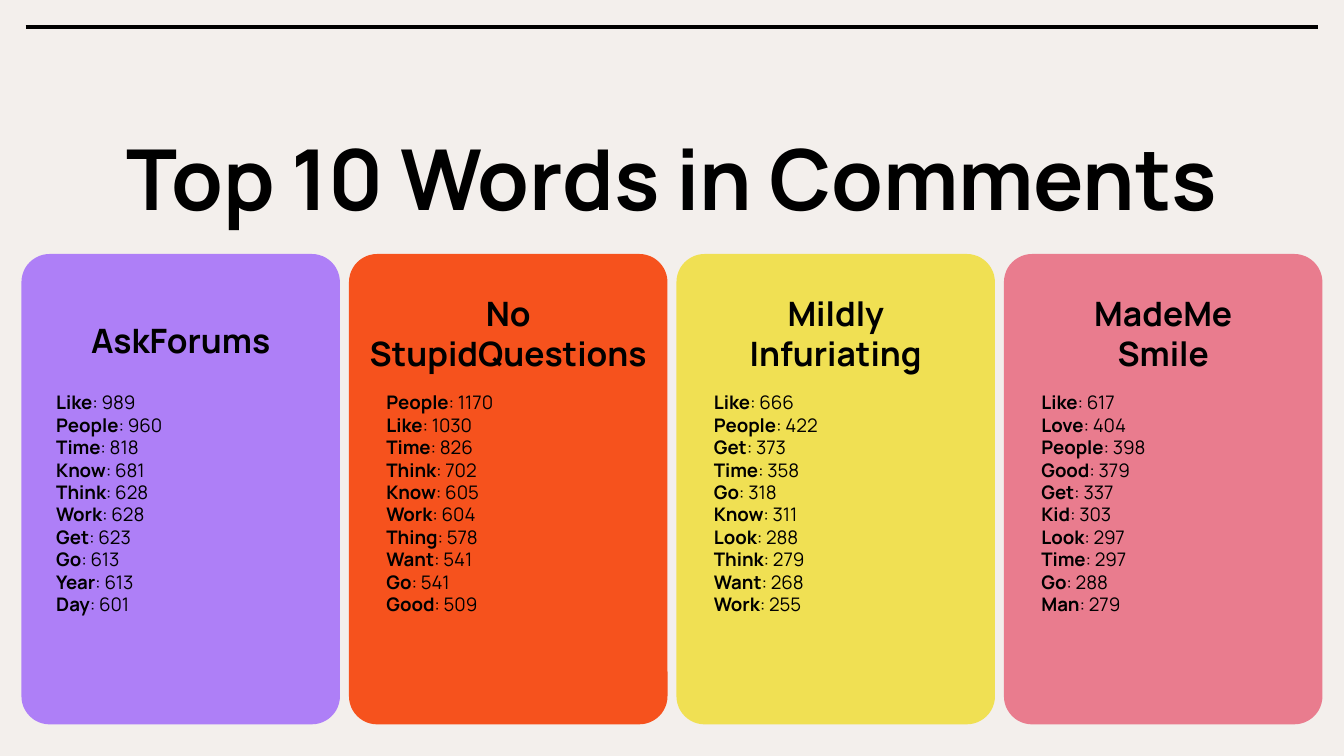
from pptx import Presentation
from pptx.dml.color import RGBColor
from pptx.enum.shapes import MSO_CONNECTOR, MSO_SHAPE
from pptx.enum.text import MSO_ANCHOR, MSO_AUTO_SIZE, PP_ALIGN
from pptx.oxml.ns import qn
from pptx.util import Inches, Pt
from lxml.etree import SubElement

TITLE = "Top 10 Words in Comments"
# fill, list indent, heading lines, word counts
CARDS = [
    ("purple", 0.16, ["AskForums"],
     [("Like", 989), ("People", 960), ("Time", 818), ("Know", 681), ("Think", 628),
      ("Work", 628), ("Get", 623), ("Go", 613), ("Year", 613), ("Day", 601)]),
    ("orange", 0.18, ["No", "StupidQuestions"],
     [("People", 1170), ("Like", 1030), ("Time", 826), ("Think", 702), ("Know", 605),
      ("Work", 604), ("Thing", 578), ("Want", 541), ("Go", 541), ("Good", 509)]),
    ("yellow", 0.18, ["Mildly", "Infuriating"],
     [("Like", 666), ("People", 422), ("Get", 373), ("Time", 358), ("Go", 318),
      ("Know", 311), ("Look", 288), ("Think", 279), ("Want", 268), ("Work", 255)]),
    ("pink", 0.18, ["MadeMe", "Smile"],
     [("Like", 617), ("Love", 404), ("People", 398), ("Good", 379), ("Get", 337),
      ("Kid", 303), ("Look", 297), ("Time", 297), ("Go", 288), ("Man", 279)]),
]
COLORS = {"background": "F3EFEC", "ink": "000000", "purple": "AE7FF7",
          "orange": "F6521D", "yellow": "F0E053", "pink": "E97C8E"}
FONT = "Manrope"

SLIDE_WIDTH = 10
SLIDE_HEIGHT = SLIDE_WIDTH * 9 / 16
MARGIN = 0.16
CARD_TOP, CARD_WIDTH, CARD_HEIGHT = 1.89, 2.37, 3.5
CARD_PITCH = (SLIDE_WIDTH - 2 * MARGIN - CARD_WIDTH) / (len(CARDS) - 1)
CORNER_RADIUS = 0.21
HEADING_PLACES = {1: (2.28, 1.74, 0.29), 2: (2.08, 2.89, 0.73)}  # lines: top, width, height
LIST_TOP, LIST_WIDTH, LIST_HEIGHT = 2.81, 2.02, 2.45


def color(name):
    return RGBColor.from_string(COLORS[name])


def write(shape, lines, size, align):
    """Fill a shape with lines, each a list of (text, bold) runs."""
    frame = shape.text_frame
    frame.word_wrap = True
    frame.auto_size = MSO_AUTO_SIZE.NONE
    frame.vertical_anchor = MSO_ANCHOR.TOP
    frame.margin_left = frame.margin_right = Inches(0.1)
    frame.margin_top = frame.margin_bottom = Inches(0.1)
    for number, line in enumerate(lines):
        paragraph = frame.add_paragraph() if number else frame.paragraphs[0]
        paragraph.alignment = align
        for text, bold in line:
            run = paragraph.add_run()
            run.text = text
            run.font.name = FONT
            run.font.size = Pt(size)
            run.font.bold = bold
            run.font.color.rgb = color("ink")


def add_text(slide, left, top, width, height, lines, size, align):
    box = slide.shapes.add_textbox(*map(Inches, (left, top, width, height)))
    write(box, lines, size, align)


def add_rule(slide):
    rule = slide.shapes.add_connector(
        MSO_CONNECTOR.STRAIGHT, *map(Inches, (0.19, 0.2, SLIDE_WIDTH - 0.19, 0.2)))
    rule.line.color.rgb = color("ink")
    rule.line.width = Pt(2.25)
    SubElement(rule._element.spPr, qn("a:effectLst"))


def add_title(slide):
    title = slide.shapes.title
    title.left, title.top = Inches(0.25), Inches(0.84)
    title.width, title.height = Inches(SLIDE_WIDTH - 0.5), Inches(0.88)
    write(title, [[(TITLE, True)]], 45, PP_ALIGN.CENTER)


def add_card(slide, left, fill):
    card = slide.shapes.add_shape(
        MSO_SHAPE.ROUNDED_RECTANGLE,
        *map(Inches, (left, CARD_TOP, CARD_WIDTH, CARD_HEIGHT)))
    card.adjustments[0] = CORNER_RADIUS / CARD_WIDTH
    card.shadow.inherit = False
    card.fill.solid()
    card.fill.fore_color.rgb = color(fill)
    card.line.fill.background()


def add_heading(slide, card_left, heading):
    top, width, height = HEADING_PLACES[len(heading)]
    add_text(slide, card_left + (CARD_WIDTH - width) / 2, top, width, height,
             [[(line, True)] for line in heading], 18, PP_ALIGN.CENTER)


def add_word_list(slide, left, counts):
    add_text(slide, left, LIST_TOP, LIST_WIDTH, LIST_HEIGHT,
             [[(word, True), (f": {count}", False)] for word, count in counts],
             10, PP_ALIGN.LEFT)


def main():
    presentation = Presentation()
    presentation.slide_width = Inches(SLIDE_WIDTH)
    presentation.slide_height = Inches(SLIDE_HEIGHT)
    slide = presentation.slides.add_slide(presentation.slide_layouts[5])
    slide.background.fill.solid()
    slide.background.fill.fore_color.rgb = color("background")

    add_rule(slide)
    add_title(slide)
    for column, (fill, indent, heading, counts) in enumerate(CARDS):
        left = MARGIN + column * CARD_PITCH
        add_card(slide, left, fill)
        add_heading(slide, left, heading)
        add_word_list(slide, left + indent, counts)
    presentation.save("out.pptx")


if __name__ == "__main__":
    main()
